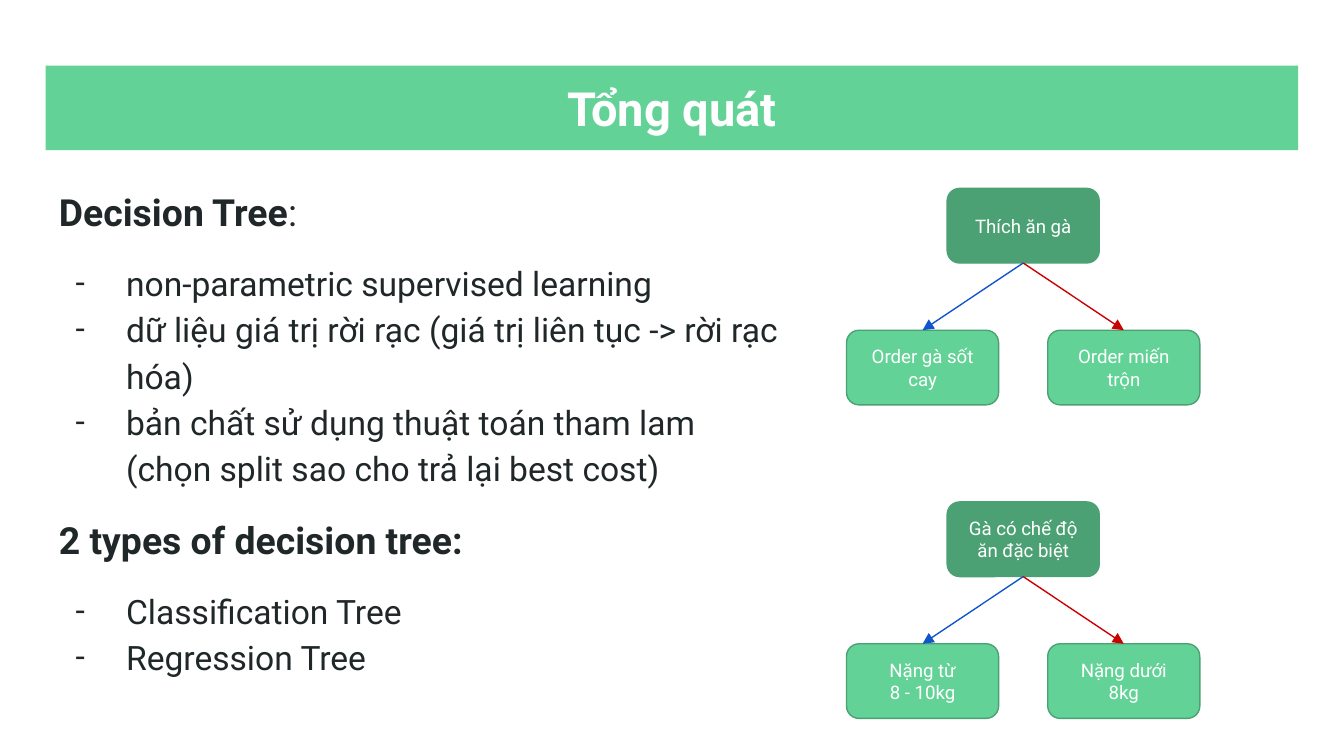
import pptx
import pptx.util
import pptx.dml.color
import pptx.enum.shapes
import pptx.enum.text
import pptx.oxml.ns
import lxml.etree

Pt = pptx.util.Pt
qn = pptx.oxml.ns.qn
SHAPE = pptx.enum.shapes.MSO_SHAPE
ALIGN = pptx.enum.text.PP_ALIGN
ANCHOR = pptx.enum.text.MSO_ANCHOR

COLORS = {"green": "63D297", "dark": "4BA173", "ink": "202729",
          "white": "FFFFFF", "yes": "1155CC", "no": "CC0000"}

SECTIONS = [
    ([("Decision Tree", True), (":", False)],
     ["non-parametric supervised learning",
      "dữ liệu giá trị rời rạc (giá trị liên tục -> rời rạc hóa)",
      "bản chất sử dụng thuật toán tham lam (chọn split sao cho trả lại best cost)"]),
    ([("2 types of decision tree:", True)],
     ["Classification Tree", "Regression Tree"]),
]


def rgb(name):
    return pptx.dml.color.RGBColor.from_string(COLORS[name])


def set_attrs(obj, values):
    for name, value in values.items():
        setattr(obj, name, value)


def set_font(r, size, color, bold=False):
    set_attrs(r.font, {"name": "Roboto", "size": Pt(size), "bold": bold})
    r.font.color.rgb = rgb(color)


def set_frame(tf, anchor):
    set_attrs(tf, {"word_wrap": True, "vertical_anchor": anchor,
                   "auto_size": pptx.enum.text.MSO_AUTO_SIZE.NONE,
                   "margin_left": Pt(7.2), "margin_right": Pt(7.2),
                   "margin_top": Pt(7.2), "margin_bottom": Pt(7.2)})


def place(sp, x, y, w, h):
    set_attrs(sp, {"left": Pt(x), "top": Pt(y), "width": Pt(w), "height": Pt(h)})


def add_title(s, text, x, y, w, h):
    sp = s.shapes.title
    place(sp, x, y, w, h)
    sp.fill.solid()
    sp.fill.fore_color.rgb = rgb("green")
    set_frame(sp.text_frame, ANCHOR.TOP)
    p = sp.text_frame.paragraphs[0]
    p.alignment = ALIGN.CENTER
    r = p.add_run()
    r.text = text
    set_font(r, 25.2, "white", True)


def add_dash(p):
    pPr = p._p.get_or_add_pPr()
    pPr.set("marL", str(Pt(36)))
    pPr.set("indent", str(Pt(-27)))
    color = lxml.etree.SubElement(pPr, qn("a:buClr"))
    lxml.etree.SubElement(color, qn("a:srgbClr"), val=COLORS["ink"])
    lxml.etree.SubElement(pPr, qn("a:buFont"), typeface="Roboto")
    lxml.etree.SubElement(pPr, qn("a:buChar"), char="-")


def add_body(s, sections, x, y, w, h):
    tf = s.shapes.add_textbox(Pt(x), Pt(y), Pt(w), Pt(h)).text_frame
    set_frame(tf, ANCHOR.TOP)

    def add_paragraph(runs, size, before):
        p = tf.add_paragraph() if tf.text else tf.paragraphs[0]
        set_attrs(p, {"line_spacing": 1.15, "space_before": Pt(before)})
        for text, bold in runs:
            r = p.add_run()
            r.text = text
            set_font(r, size, "ink", bold)
        return p

    for heading, items in sections:
        add_paragraph(heading, 20, 12)
        for i, item in enumerate(items):
            add_dash(add_paragraph([(item, False)], 18, 0 if i else 12))


def add_node(s, text, fill, x, y, w, h):
    sp = s.shapes.add_shape(SHAPE.ROUNDED_RECTANGLE, Pt(x), Pt(y), Pt(w), Pt(h))
    sp.shadow.inherit = False
    sp.fill.solid()
    sp.fill.fore_color.rgb = rgb(fill)
    sp.line.color.rgb = rgb("dark")
    sp.line.width = Pt(0.75)
    tf = sp.text_frame
    set_frame(tf, ANCHOR.MIDDLE)
    tf.text = text
    for p in tf.paragraphs:
        p.alignment = ALIGN.CENTER
        set_font(p.runs[0], 10, "white")
    return sp


def add_branch(s, parent, child, color):
    c = s.shapes.add_connector(pptx.enum.shapes.MSO_CONNECTOR.STRAIGHT, 0, 0, 0, 0)
    c.begin_connect(parent, 2)  # bottom centre
    c.end_connect(child, 0)     # top centre
    c.line.color.rgb = rgb(color)
    c.line.width = Pt(0.75)
    lxml.etree.SubElement(c.line._get_or_add_ln(), qn("a:tailEnd"), type="triangle")
    lxml.etree.SubElement(c._element.spPr, qn("a:effectLst"))


def add_tree(s, root, left, right, x, y, w, h):
    node_w, node_h = 81.5, 40
    parent = add_node(s, root, "dark", x + (w - node_w) / 2, y, node_w, node_h)
    leaves = [(left, x, "yes"), (right, x + w - node_w, "no")]
    for text, leaf_x, color in leaves:
        leaf = add_node(s, text, "green", leaf_x, y + h - node_h, node_w, node_h)
        add_branch(s, parent, leaf, color)


def main():
    prs = pptx.Presentation()
    set_attrs(prs, {"slide_width": Pt(720), "slide_height": Pt(405)})
    s = prs.slides.add_slide(prs.slide_layouts[5])

    # Title band and text
    add_title(s, "Tổng quát", 24.5, 35.2, 671, 45.2)
    add_body(s, SECTIONS, 24.5, 90.7, 405.4, 289.4)

    # Example trees
    trees = [("Thích ăn gà", "Order gà sốt cay", "Order miến trộn"),
             ("Gà có chế độ ăn đặc biệt", "Nặng từ\n8 - 10kg", "Nặng dưới 8kg")]
    for i, labels in enumerate(trees):
        add_tree(s, *labels, 453.5, 100.9 + 168 * i, 189.3, 116)

    prs.save("out.pptx")


if __name__ == "__main__":
    main()
